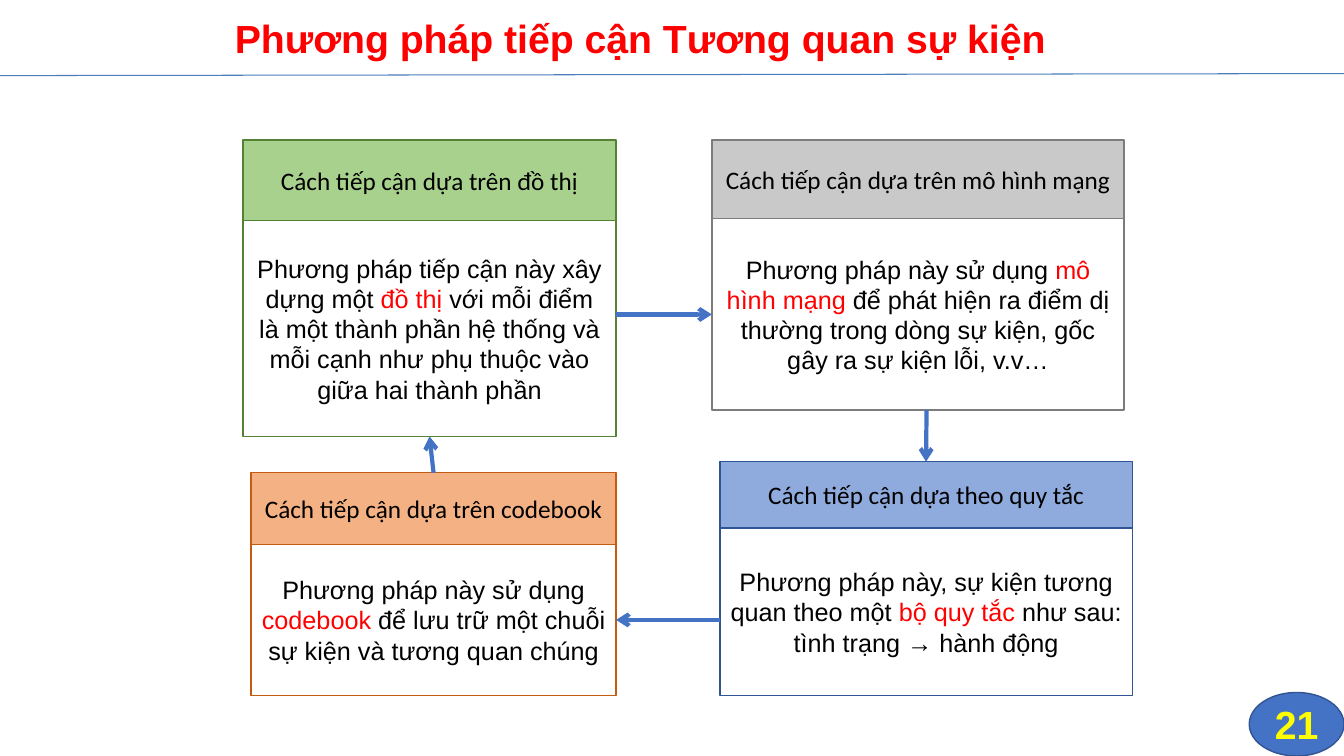
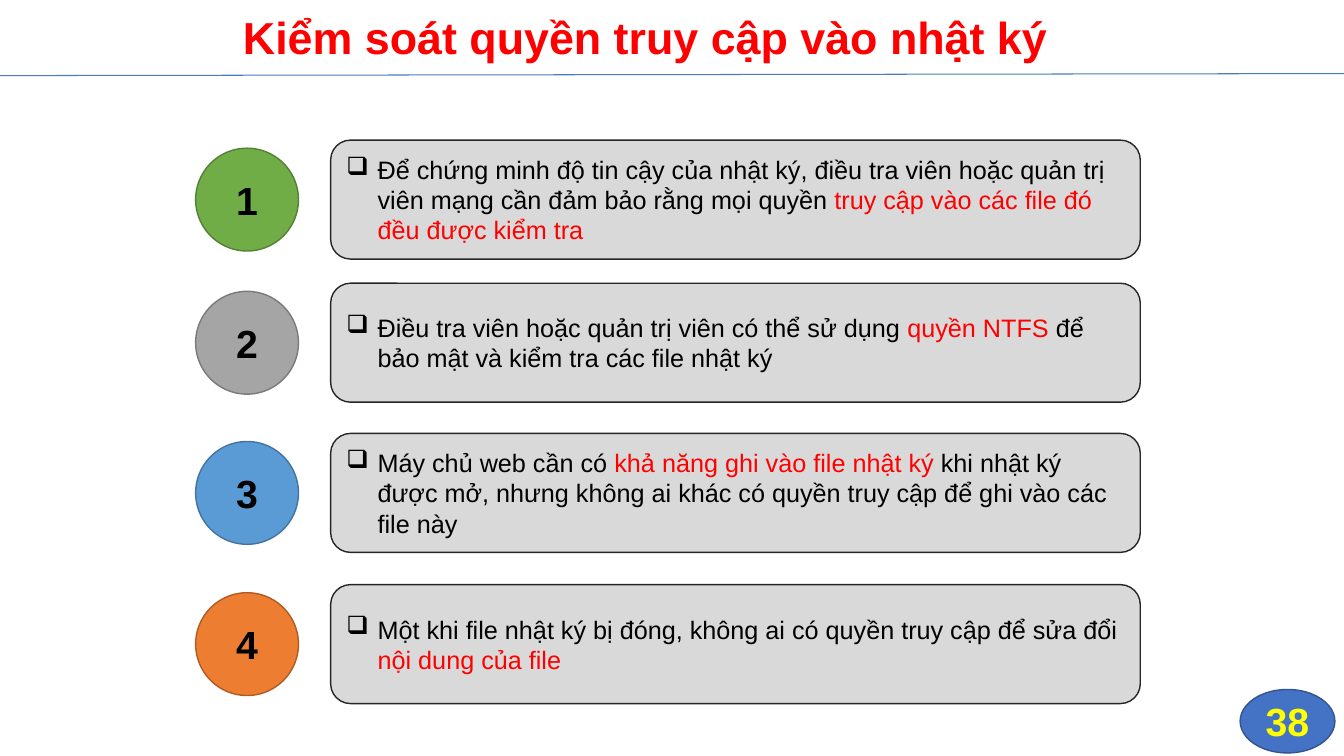
from dataclasses import dataclass

import pptx
import pptx.dml.color
import pptx.enum.dml
import pptx.enum.shapes
import pptx.enum.text
import pptx.oxml
import pptx.oxml.ns
import pptx.util

Inches = pptx.util.Inches
Pt = pptx.util.Pt
Shape = pptx.enum.shapes.MSO_SHAPE
Align = pptx.enum.text.PP_ALIGN
Anchor = pptx.enum.text.MSO_ANCHOR
TOP, LEFT, BOTTOM, RIGHT = range(4)


@dataclass(frozen=True)
class Theme:
    font: str = "Arial"
    head: str = "Calibri"
    ink: str = "000000"
    red: str = "FF0000"
    white: str = "FFFFFF"
    panel: str = "D9D9D9"
    frame: str = "262626"
    rule: str = "4A7DBA"
    blue: str = "4472C4"
    navy: str = "325491"
    yellow: str = "FFFF00"
    body: int = 18
    large: int = 28
    title: int = 32


@dataclass(frozen=True)
class Card:
    """A header over a body; red words stand between asterisks."""
    left: float
    top: float
    width: float
    head: float
    body: float
    fill: str
    edge: str
    title: str
    text: str


@dataclass(frozen=True)
class Step:
    top: float
    fill: str
    edge: str
    text: str


THEME = Theme()
WIDTH, HEIGHT = 13.33, 7.5

CARDS = {
    "book": Card(2.49, 4.69, 3.62, 0.71, 1.5, "F4B183", "C55A11",
                 "Cách tiếp cận dựa trên codebook",
                 "Phương pháp này sử dụng *codebook* để lưu trữ một chuỗi "
                 "sự kiện và tương quan chúng"),
    "rules": Card(7.14, 4.58, 4.09, 0.66, 1.66, "8FAADC", "2F5597",
                  "Cách tiếp cận dựa theo quy tắc",
                  "Phương pháp này, sự kiện tương quan theo một *bộ quy tắc *"
                  "như sau: tình trạng → hành động"),
    "graph": Card(2.41, 1.39, 3.7, 0.8, 2.14, "A9D18E", "548235",
                  "Cách tiếp cận dựa trên đồ thị",
                  "Phương pháp tiếp cận này xây dựng một *đồ thị *với mỗi điểm "
                  "là một thành phần hệ thống và mỗi cạnh như phụ thuộc vào "
                  "giữa hai thành phần"),
    "model": Card(7.06, 1.39, 4.09, 0.78, 1.9, "C9C9C9", "7C7C7C",
                  "Cách tiếp cận dựa trên mô hình mạng",
                  "Phương pháp này sử dụng *mô hình mạng *để phát hiện ra điểm "
                  "dị thường trong dòng sự kiện, gốc gây ra sự kiện lỗi, v.v…"),
}

STEPS = [
    Step(1.39, "70AD47", "538035",
         "Để chứng minh độ tin cậy của nhật ký, điều tra viên hoặc quản trị "
         "viên mạng cần đảm bảo rằng mọi quyền *truy cập vào các file đó "
         "đều được kiểm tra*"),
    Step(2.81, "A5A5A5", "7A7A7A",
         "Điều tra viên hoặc quản trị viên có thể sử dụng *quyền NTFS *để "
         "bảo mật và kiểm tra các file nhật ký"),
    Step(4.3, "5B9BD5", "43739E",
         "Máy chủ web cần có *khả năng ghi vào file nhật ký* khi nhật ký "
         "được mở, nhưng không ai khác có quyền truy cập để ghi vào các "
         "file này"),
    Step(5.8, "ED7D31", "AF5C24",
         "Một khi file nhật ký bị đóng, không ai có quyền truy cập để sửa "
         "đổi *nội dung của file*"),
]


def rgb(code: str):
    return pptx.dml.color.RGBColor.from_string(code)


def write(shape, text: str, *, size: int = THEME.body, font: str = THEME.font,
          color: str = THEME.ink, bold: bool = False, align=Align.CENTER,
          space: float | None = None, bullet: str = "") -> None:
    """Fill a shape with one paragraph; words between asterisks turn red."""
    frame = shape.text_frame
    frame.word_wrap = True
    frame.auto_size = pptx.enum.text.MSO_AUTO_SIZE.NONE
    frame.vertical_anchor = Anchor.MIDDLE
    para = frame.paragraphs[0]
    para.alignment = align
    if space:
        para.line_spacing = space
    if bullet:
        props = para._p.get_or_add_pPr()
        props.set("marL", str(Inches(0.31)))
        props.set("indent", str(-Inches(0.31)))
        mark = pptx.oxml.parse_xml(
            f'<a:buChar {pptx.oxml.ns.nsdecls("a")} char="{bullet}"/>')
        props.append(mark)
    for index, part in enumerate(text.split("*")):
        if not part:
            continue
        run = para.add_run()
        run.text = part
        run.font.size = Pt(size)
        run.font.name = font
        run.font.bold = bold
        run.font.color.rgb = rgb(THEME.red if index % 2 else color)


def block(shapes, kind, left: float, top: float, width: float, height: float,
          fill: str, edge: str):
    shape = shapes.add_shape(kind, Inches(left), Inches(top),
                             Inches(width), Inches(height))
    shape.shadow.inherit = False
    shape.fill.solid()
    shape.fill.fore_color.rgb = rgb(fill)
    shape.line.color.rgb = rgb(edge)
    shape.line.width = Pt(1)
    return shape


def line(slide, start: tuple[float, float], end: tuple[float, float],
         color: str, width: float, arrow: bool = False):
    link = slide.shapes.add_connector(
        pptx.enum.shapes.MSO_CONNECTOR.STRAIGHT,
        *(Inches(value) for value in (*start, *end)))
    link.line.color.rgb = rgb(color)
    link.line.width = Pt(width)
    space = pptx.oxml.ns.nsdecls("a")
    if arrow:
        link.line._get_or_add_ln().append(
            pptx.oxml.parse_xml(f'<a:tailEnd {space} type="arrow"/>'))
    link._element.spPr.append(pptx.oxml.parse_xml(f"<a:effectLst {space}/>"))
    return link


def arrow(slide, start: tuple[float, float], end: tuple[float, float]):
    return line(slide, start, end, THEME.blue, 3, arrow=True)


def start(deck, title: str, left: float, top: float, size: int):
    """Add a slide with its title and the rule below it."""
    slide = deck.slides.add_slide(deck.slide_layouts[5])
    head = slide.shapes.title
    head.left, head.top = Inches(left), Inches(top)
    head.width, head.height = Inches(9), Inches(0.77)
    write(head, title, size=size, color=THEME.red, bold=True,
          align=Align.LEFT, space=0.9)
    line(slide, (0, 0.75), (WIDTH, 0.73), THEME.rule, 0.75)
    return slide


def badge(slide, number: int, left: float, top: float) -> None:
    """Draw the page number."""
    oval = block(slide.shapes, Shape.OVAL, left, top, 0.94, 0.63,
                 THEME.blue, THEME.navy)
    write(oval, str(number), size=THEME.large, color=THEME.yellow, bold=True)


def draw_card(slide, card: Card):
    group = slide.shapes.add_group_shape().shapes
    body = block(group, Shape.RECTANGLE, card.left, card.top + card.head,
                 card.width, card.body, THEME.white, card.edge)
    write(body, card.text)
    head = block(group, Shape.RECTANGLE, card.left, card.top,
                 card.width, card.head, card.fill, card.edge)
    write(head, card.title, font=THEME.head)
    return head, body


def draw_step(slide, number: int, step: Step) -> None:
    group = slide.shapes.add_group_shape().shapes
    panel = block(group, Shape.ROUNDED_RECTANGLE, 3.28, step.top, 8.03, 1.18,
                  THEME.panel, THEME.frame)
    write(panel, step.text, align=Align.LEFT, bullet="❑")
    disc = block(group, Shape.OVAL, 1.94, step.top + 0.08, 1.02, 1.02,
                 step.fill, step.edge)
    write(disc, str(number), size=THEME.large, bold=True)


def methods(deck) -> None:
    slide = start(deck, "Phương pháp tiếp cận Tương quan sự kiện",
                  2.23, 0.02, THEME.large)
    drawn = {name: draw_card(slide, card) for name, card in CARDS.items()}
    badge(slide, 21, 12.39, 6.87)

    link = arrow(slide, (6.11, 3.12), (7.06, 3.12))
    link.end_connect(drawn["model"][1], LEFT)
    link = arrow(slide, (9.19, 4.07), (9.19, 4.58))
    link.end_connect(drawn["rules"][0], TOP)
    link = arrow(slide, (7.14, 6.15), (6.11, 6.15))
    link.end_connect(drawn["book"][1], RIGHT)
    link = arrow(slide, (4.3, 4.69), (4.26, 4.33))
    link.begin_connect(drawn["book"][0], TOP)
    link.end_connect(drawn["graph"][1], BOTTOM)


def access(deck) -> None:
    slide = start(deck, "Kiểm soát quyền truy cập vào nhật ký",
                  2.31, 0.01, THEME.title)
    for number, step in enumerate(STEPS, 1):
        draw_step(slide, number, step)
    badge(slide, 38, 12.3, 6.84)


def main() -> None:
    deck = pptx.Presentation()
    deck.slide_width, deck.slide_height = Inches(WIDTH), Inches(HEIGHT)
    methods(deck)
    access(deck)
    deck.save("out.pptx")


if __name__ == "__main__":
    main()
